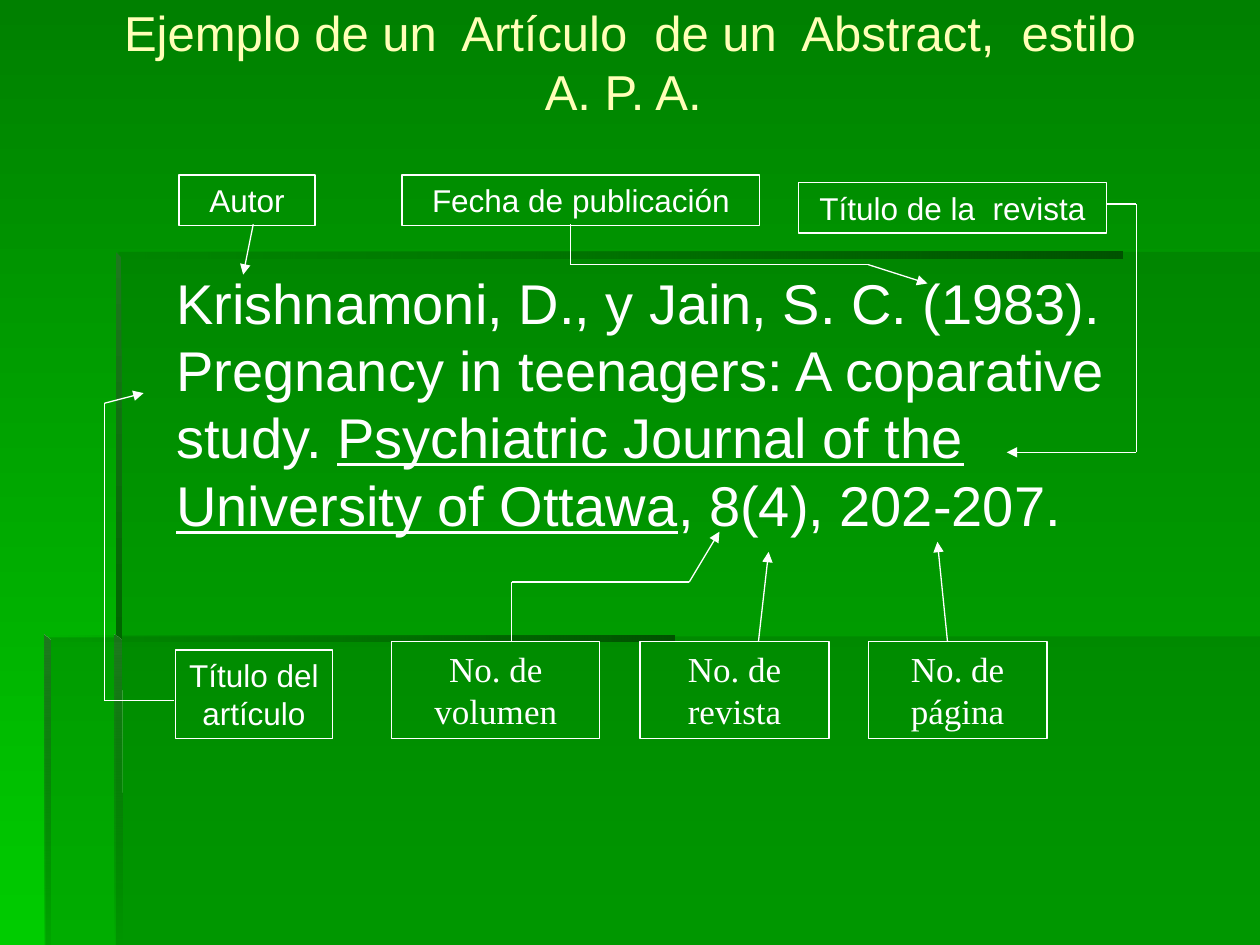
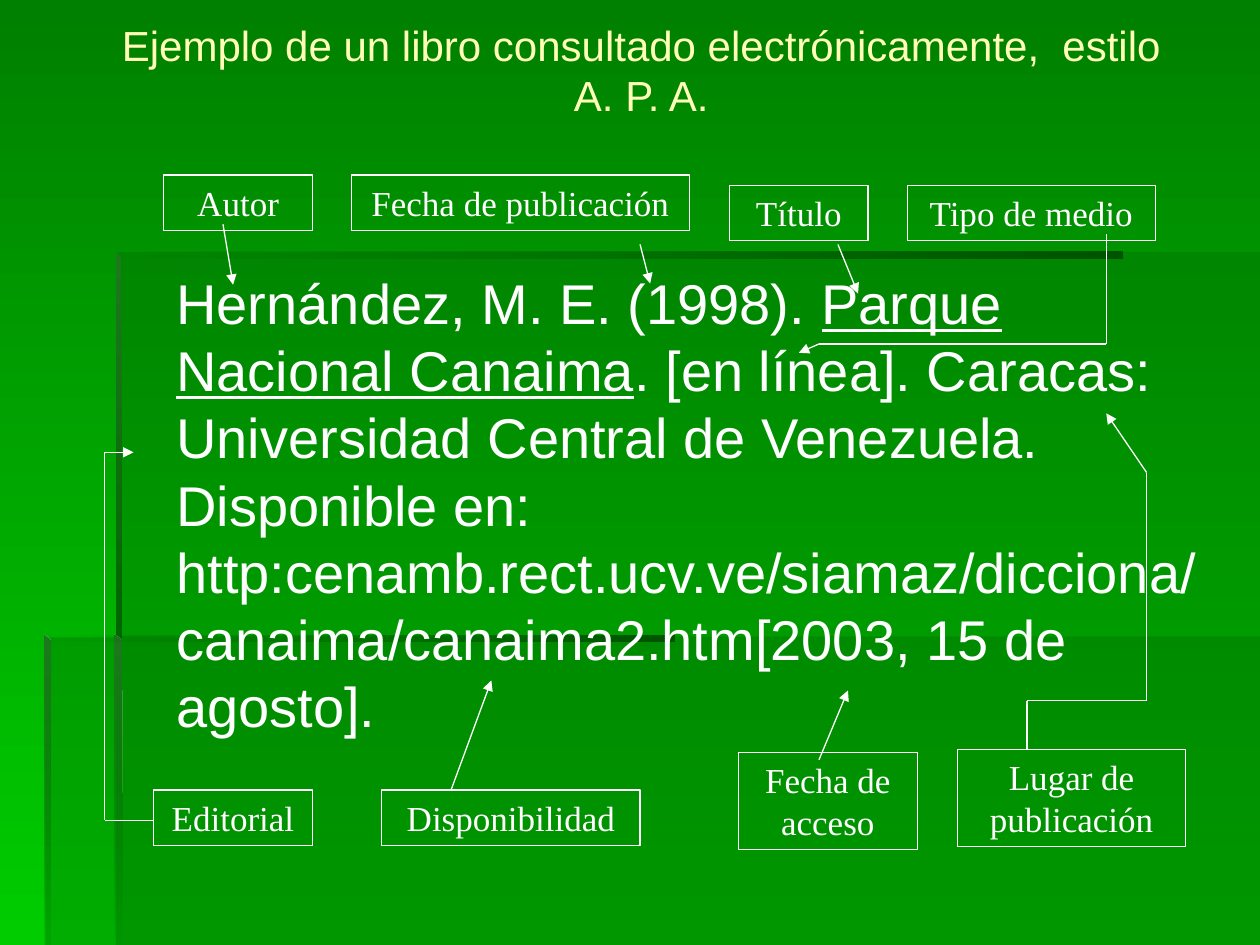
from collections import namedtuple
from itertools import pairwise

from pptx import Presentation
from pptx.dml.color import RGBColor
from pptx.enum.shapes import MSO_CONNECTOR as Connector
from pptx.enum.text import MSO_ANCHOR as Anchor, MSO_AUTO_SIZE as AutoSize, PP_ALIGN as Align
from pptx.oxml.ns import qn
from pptx.oxml.xmlchemy import OxmlElement
from pptx.util import Pt

PX = 9144
WHITE, CREAM = "FFFFFF", "FFFFB7"
GREEN, BRIGHT, PANEL = "008000", "00CC00", "006600"
SHADE, EDGE = "005300", "1E781E"
SANS, SERIF = "Arial", "Times New Roman"

Box = namedtuple("Box", "left top width height")
FRAME = Box(35, 200, 965, 550)
BODY = Box(92, 208, 876, 458)
DIAGRAM = Box(80, 130, 870, 550)


def color(code):
    return RGBColor.from_string(code)


def place(item, box):
    item.left, item.top, item.width, item.height = (value * PX for value in box)


def inside(outer, box):
    return Box(outer.left + box[0], outer.top + box[1], box[2], box[3])


def style(span, font, size, code):
    span.font.name = font
    span.font.size = Pt(size)
    span.font.color.rgb = color(code)


def fill_gradient(fill, first, last, angle):
    fill.gradient()
    fill.gradient_angle = angle
    for stop, code in zip(fill.gradient_stops, (first, last)):
        stop.color.rgb = color(code)


def set_opacity(shape, percent):
    last_color = shape.element.spPr.findall(".//" + qn("a:srgbClr"))[-1]
    alpha = OxmlElement("a:alpha")
    alpha.set("val", str(percent * 1000))
    last_color.append(alpha)


def add_outline(page, box, points):
    start, *rest = [(box.left + x, box.top + y) for x, y in points]
    builder = page.shapes.build_freeform(*start, scale=PX)
    builder.add_line_segments(rest, close=True)
    shape = builder.convert_to_shape()
    shape.shadow.inherit = False
    shape.line.fill.background()
    return shape


def bar(left, top, right, bottom):
    return [(left, top), (left, bottom), (right, bottom), (right, top)]


def add_frame(page, box):
    right, bottom = box.width, box.height
    panels = [
        bar(57, 305, right, bottom),
        [(59, 306), (1, 306), (1, bottom), (right, bottom), (right, 0), (59, 0)],
    ]
    edges = [
        (bar(57, 0, 856, 5), SHADE, 180, 0),
        ([(57, 0), (57, 310), (62, 310), (61, 4)], EDGE, 270, 100),
        ([(56, bottom), (62, bottom), (61, 308), (56, 304)], EDGE, 270, 0),
        (bar(0, 304, 500, 309), SHADE, 180, 0),
        ([(0, 304), (0, bottom), (5, bottom), (5, 309)], EDGE, 270, 10),
    ]
    shapes = []
    for points in panels:
        shape = add_outline(page, box, points)
        shape.fill.solid()
        shape.fill.fore_color.rgb = color(PANEL)
        set_opacity(shape, 30)
        shapes.append(shape)
    for points, code, angle, opacity in edges:
        shape = add_outline(page, box, points)
        fill_gradient(shape.fill, code, PANEL, angle)
        set_opacity(shape, opacity)
        shapes.append(shape)
    return shapes


def dress_master(master, page):
    fill_gradient(master.background.fill, GREEN, BRIGHT, 270)
    tree = master.shapes.element
    for order, shape in enumerate(add_frame(page, FRAME)):
        shape.element.find(".//" + qn("p:cNvPr")).set("id", str(100 + order))
        tree.insert(2 + order, shape.element)


def add_title(page, box, text, size):
    title = page.shapes.title
    place(title, box)
    frame = title.text_frame
    frame.text = text
    frame.auto_size = AutoSize.NONE
    frame.vertical_anchor = Anchor.MIDDLE
    para = frame.paragraphs[0]
    para.alignment = Align.CENTER
    style(para.runs[0], SANS, size, CREAM)


def add_citation(page, box, before, work, after):
    body = page.placeholders[1]
    place(body, box)
    frame = body.text_frame
    frame.auto_size = AutoSize.NONE
    para = frame.paragraphs[0]
    para.space_before = Pt(8)
    for text in (before, work, after):
        span = para.add_run()
        span.text = text
        style(span, SANS, 32, WHITE)
        span.font.underline = text == work
    properties = para._p.get_or_add_pPr()
    properties.set("marL", str(38 * PX))
    properties.set("indent", "0")
    properties.append(OxmlElement("a:buNone"))


def add_label(page, box, text, font):
    label = page.shapes.add_textbox(*(value * PX for value in box))
    label.line.color.rgb = color(WHITE)
    label.line.width = Pt(0.75)
    frame = label.text_frame
    frame.text = text
    frame.word_wrap = True
    frame.auto_size = AutoSize.SHAPE_TO_FIT_TEXT
    para = frame.paragraphs[0]
    para.alignment = Align.CENTER
    style(para.runs[0], font, 18 if font == SANS else 20, WHITE)


def add_arrow(page, box, points):
    places = [((box.left + x) * PX, (box.top + y) * PX) for x, y in points]
    for start, end in pairwise(places):
        line = page.shapes.add_connector(Connector.STRAIGHT, *start, *end)
        line.line.color.rgb = color(WHITE)
        line.line.width = Pt(0.75)
        line.element.spPr.append(OxmlElement("a:effectLst"))
    head = OxmlElement("a:tailEnd")
    head.set("type", "triangle")
    line.element.spPr.find(qn("a:ln")).append(head)


def add_diagram(page, box, labels, arrows):
    for text, font, *area in labels:
        add_label(page, inside(box, area), text, font)
    for points in arrows:
        add_arrow(page, box, points)


ARTICLE = {
    "title": (Box(75, 13, 850, 71), "Ejemplo de un  Artículo  de un  Abstract,  estilo A. P. A. ", 28),
    "citation": (
        "Krishnamoni, D., y Jain, S. C. (1983). Pregnancy in teenagers: A coparative study. ",
        "Psychiatric Journal of the University of Ottawa",
        ", 8(4), 202-207.",
    ),
    "labels": [
        ("Autor", SANS, 62, 9, 108, 40),
        ("Título del artículo", SANS, 59, 386, 125, 70),
        ("Título de la  revista", SANS, 554, 15, 244, 40),
        ("Fecha de publicación", SANS, 239, 9, 284, 40),
        ("No. de volumen", SERIF, 231, 379, 165, 77),
        ("No. de revista", SERIF, 428, 379, 150, 77),
        ("No. de página", SERIF, 609, 379, 142, 77),
    ],
    "arrows": [
        [(121, 48), (113, 88)],
        [(373, 48), (373, 80), (609, 80), (656, 95)],
        [(798, 32), (822, 32), (822, 229), (719, 229)],
        [(58, 426), (3, 426), (3, 190), (34, 182)],
        [(522, 379), (530, 308)],
        [(672, 379), (664, 300)],
        [(326, 379), (326, 332), (467, 332), (491, 292)],
    ],
}

BOOK = {
    "title": (Box(76, 13, 866, 85), "Ejemplo de un libro consultado electrónicamente,  estilo A. P. A.", 24),
    "citation": (
        "Hernández, M. E. (1998). ",
        "Parque Nacional Canaima",
        ". [en línea]. Caracas: Universidad Central de Venezuela. Disponible en: "
        "http:cenamb.rect.ucv.ve/siamaz/dicciona/canaima/canaima2.htm[2003, 15 de agosto].",
    ),
    "labels": [
        ("Autor", SERIF, 50, 9, 118, 44),
        ("Fecha de publicación", SERIF, 199, 9, 268, 44),
        ("Título", SERIF, 499, 17, 110, 44),
        ("Tipo de medio", SERIF, 640, 17, 197, 44),
        ("Lugar de publicación", SERIF, 680, 465, 181, 77),
        ("Fecha de acceso", SERIF, 506, 467, 142, 77),
        ("Editorial", SERIF, 42, 497, 126, 44),
        ("Disponibilidad", SERIF, 223, 497, 205, 44),
    ],
    "arrows": [
        [(97, 48), (105, 96)],
        [(428, 64), (436, 95)],
        [(585, 64), (601, 103)],
        [(798, 56), (798, 143), (570, 143), (554, 150)],
        [(42, 521), (3, 521), (3, 229), (26, 229)],
        [(278, 497), (310, 410)],
        [(570, 473), (593, 418)],
        [(735, 465), (735, 426), (830, 426), (830, 245), (798, 198)],
    ],
}


def add_example(deck, example):
    page = deck.slides.add_slide(deck.slide_layouts[1])
    add_title(page, *example["title"])
    add_citation(page, BODY, *example["citation"])
    add_diagram(page, DIAGRAM, example["labels"], example["arrows"])
    return page


def main():
    deck = Presentation()
    deck.slide_width, deck.slide_height = 1000 * PX, 750 * PX
    pages = [add_example(deck, example) for example in (ARTICLE, BOOK)]
    dress_master(deck.slide_master, pages[0])
    deck.save("out.pptx")


if __name__ == "__main__":
    main()
